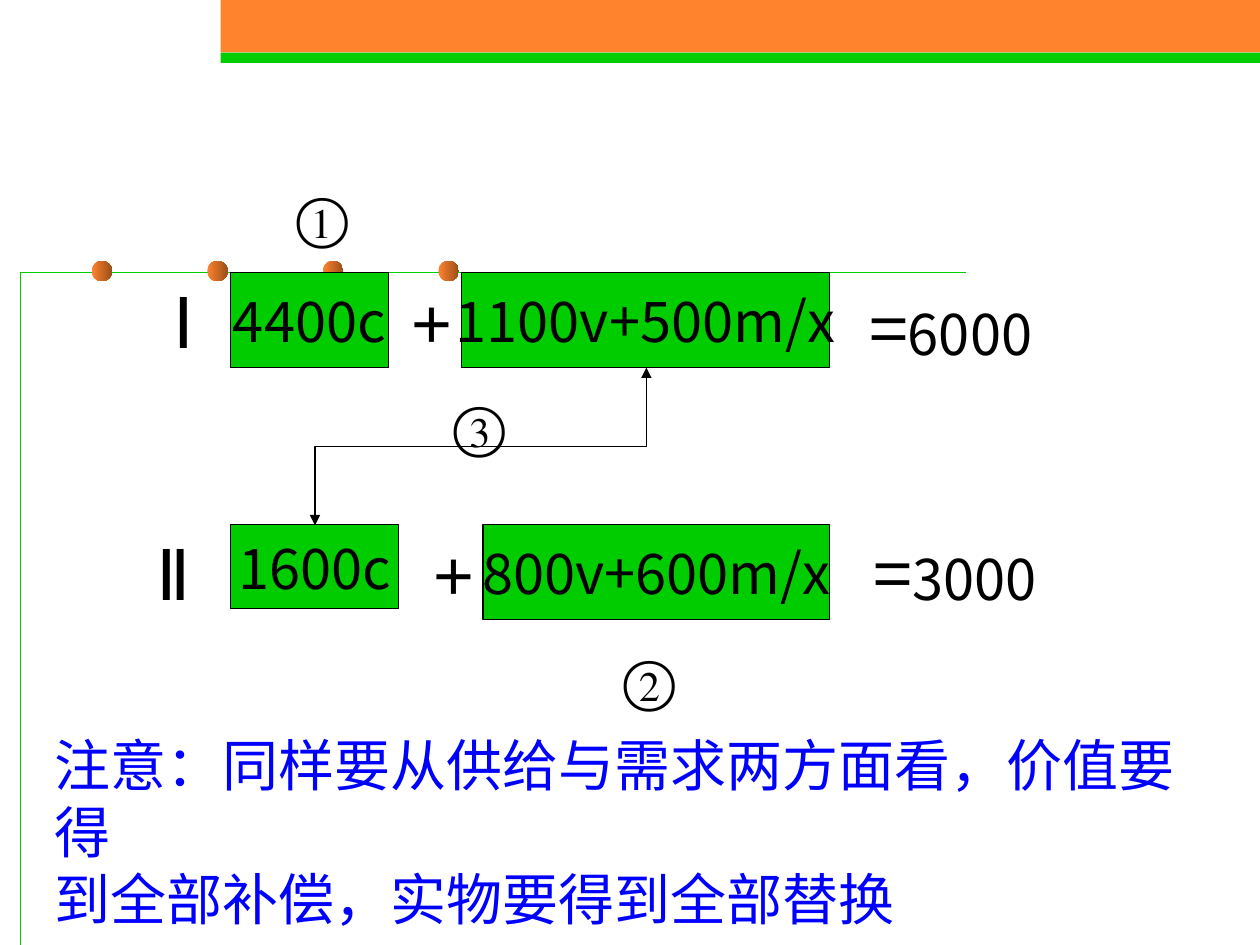
from typing import NamedTuple

from lxml.etree import SubElement
from pptx import Presentation
from pptx.dml.color import RGBColor
from pptx.enum.shapes import MSO_CONNECTOR, MSO_SHAPE
from pptx.enum.text import MSO_ANCHOR, MSO_AUTO_SIZE, PP_ALIGN
from pptx.oxml.ns import qn
from pptx.util import Cm, Pt

ORANGE, DARK_ORANGE, GREEN = "FF822D", "9B4F1B", "00CC00"
BLACK, BLUE = "000000", "0000FF"
SANS, CJK, SERIF = "Arial", "Noto Sans CJK SC", "Times New Roman"
LINE_WIDTH = Pt(0.75)
ROW_ONE, ROW_TWO = 5.5, 10.58


class Box(NamedTuple):
    """Position and size in centimetres."""
    left: float
    top: float
    width: float
    height: float

    def lengths(self):
        return [Cm(value) for value in self]


class Term(NamedTuple):
    text: str
    box: Box


class Label(NamedTuple):
    """Free text; each line is a list of (text, size) runs."""
    lines: list
    box: Box
    font: str
    color: str = BLACK
    wrap: bool = False


def rgb(color: str) -> RGBColor:
    return RGBColor.from_string(color)


def style_paragraph(paragraph, font: str, color: str) -> None:
    """Set Latin and East Asian typeface and colour for a paragraph."""
    paragraph.font.color.rgb = rgb(color)
    paragraph.font.name = font
    defaults = paragraph._p.pPr.find(qn("a:defRPr"))
    SubElement(defaults, qn("a:ea")).set("typeface", font)


def add_filled(slide, kind, box: Box, color: str):
    shape = slide.shapes.add_shape(kind, *box.lengths())
    shape.shadow.inherit = False
    shape.fill.solid()
    shape.fill.fore_color.rgb = rgb(color)
    shape.line.fill.background()
    return shape


def add_dot(slide, box: Box) -> None:
    fill = add_filled(slide, MSO_SHAPE.OVAL, box, ORANGE).fill
    fill.gradient()
    fill.gradient_angle = 0
    for stop, color in zip(fill.gradient_stops, (ORANGE, DARK_ORANGE)):
        stop.color.rgb = rgb(color)


def add_frame_line(slide) -> None:
    left, top, right, bottom = Cm(0.42), Cm(5.5), Cm(19.47), Cm(19.05)
    builder = slide.shapes.build_freeform(left, bottom)
    builder.add_line_segments([(left, top), (right, top)], close=False)
    shape = builder.convert_to_shape()
    shape.shadow.inherit = False
    shape.fill.background()
    shape.line.color.rgb = rgb(GREEN)
    shape.line.width = LINE_WIDTH


def add_term(slide, term: Term) -> None:
    shape = add_filled(slide, MSO_SHAPE.RECTANGLE, term.box, GREEN)
    shape.line.color.rgb = rgb(BLACK)
    shape.line.width = LINE_WIDTH
    frame = shape.text_frame
    frame.word_wrap = False
    frame.vertical_anchor = MSO_ANCHOR.MIDDLE
    paragraph = frame.paragraphs[0]
    paragraph.text = term.text
    paragraph.alignment = PP_ALIGN.CENTER
    paragraph.font.size = Pt(32)
    style_paragraph(paragraph, CJK, BLACK)


def add_label(slide, label: Label) -> None:
    frame = slide.shapes.add_textbox(*label.box.lengths()).text_frame
    frame.word_wrap = label.wrap
    frame.auto_size = MSO_AUTO_SIZE.SHAPE_TO_FIT_TEXT
    for index, line in enumerate(label.lines):
        paragraph = frame.add_paragraph() if index else frame.paragraphs[0]
        sizes = {size for _, size in line}
        if len(sizes) == 1:
            paragraph.font.size = Pt(sizes.pop())
        for text, size in line:
            run = paragraph.add_run()
            run.text = text
            if len(line) > 1:
                run.font.size = Pt(size)
        style_paragraph(paragraph, label.font, label.color)


def add_exchange_arrow(slide) -> None:
    """Join I(v+m/x) and IIc with a double-headed elbow turned a quarter."""
    left, top, width, height = Box(8.1, 5.66, 3.18, 6.68).lengths()
    arrow = slide.shapes.add_connector(
        MSO_CONNECTOR.ELBOW, left, top, left + width, top + height)
    arrow._element.spPr.find(qn("a:xfrm")).set("rot", str(90 * 60000))
    arrow.line.color.rgb = rgb(BLACK)
    arrow.line.width = LINE_WIDTH
    line = arrow.line._get_or_add_ln()
    for end in ("a:headEnd", "a:tailEnd"):
        SubElement(line, qn(end)).set("type", "triangle")
    SubElement(arrow._element.spPr, qn("a:effectLst"))


TERMS = [
    Term("4400c", Box(4.65, ROW_ONE, 3.18, 1.91)),
    Term("1100v+500m/x", Box(9.31, ROW_ONE, 7.41, 1.91)),
    Term("1600c", Box(4.65, ROW_TWO, 3.39, 1.69)),
    Term("800v+600m/x", Box(9.74, ROW_TWO, 6.99, 1.91)),
]

STEP_MARKS = [
    Label([[(mark, 32)]], Box(left, top, 1.55, 1.62), SERIF)
    for mark, left, top in (("①", 5.72, 3.56), ("②", 12.32, 12.88), ("③", 8.89, 7.77))
]

SYMBOLS = [
    Label([[(symbol, 40)]], Box(left, top, width, 1.95), SANS)
    for symbol, left, top, width in (
        ("+", 8.05, ROW_ONE, 1.32),
        ("Ⅰ", 3.25, ROW_ONE, 0.91),
        ("Ⅱ", 2.9, ROW_TWO, 1.2),
        ("+", 8.48, ROW_TWO, 1.32),
    )
]

TOTALS = [
    Label([[("=", 40), ("6000", 32)]], Box(17.27, 5.64, 3.89, 1.95), CJK),
    Label([[("=", 40), ("3000", 32)]], Box(17.36, ROW_TWO, 4.01, 3.3), CJK, wrap=True),
]

NOTE = Label(
    [[("注意：同样要从供给与需求两方面看，价值要得", 32)],
     [("到全部补偿，实物要得到全部替换", 32)]],
    Box(0.85, 14.6, 24.23, 2.97), SANS, BLUE)


def main() -> None:
    presentation = Presentation()
    presentation.slide_width, presentation.slide_height = Cm(25.4), Cm(19.05)
    slide = presentation.slides.add_slide(presentation.slide_layouts[6])

    add_filled(slide, MSO_SHAPE.RECTANGLE, Box(4.45, 0, 20.95, 1.06), ORANGE)
    add_filled(slide, MSO_SHAPE.RECTANGLE, Box(4.45, 1.06, 20.95, 0.21), GREEN)
    add_frame_line(slide)
    for index in range(4):
        add_dot(slide, Box(1.85 + 2.33 * index, 5.26, 0.41, 0.41))

    for term in TERMS:
        add_term(slide, term)
    add_exchange_arrow(slide)
    for label in [*STEP_MARKS, *TOTALS, *SYMBOLS, NOTE]:
        add_label(slide, label)

    presentation.save("out.pptx")


if __name__ == "__main__":
    main()
